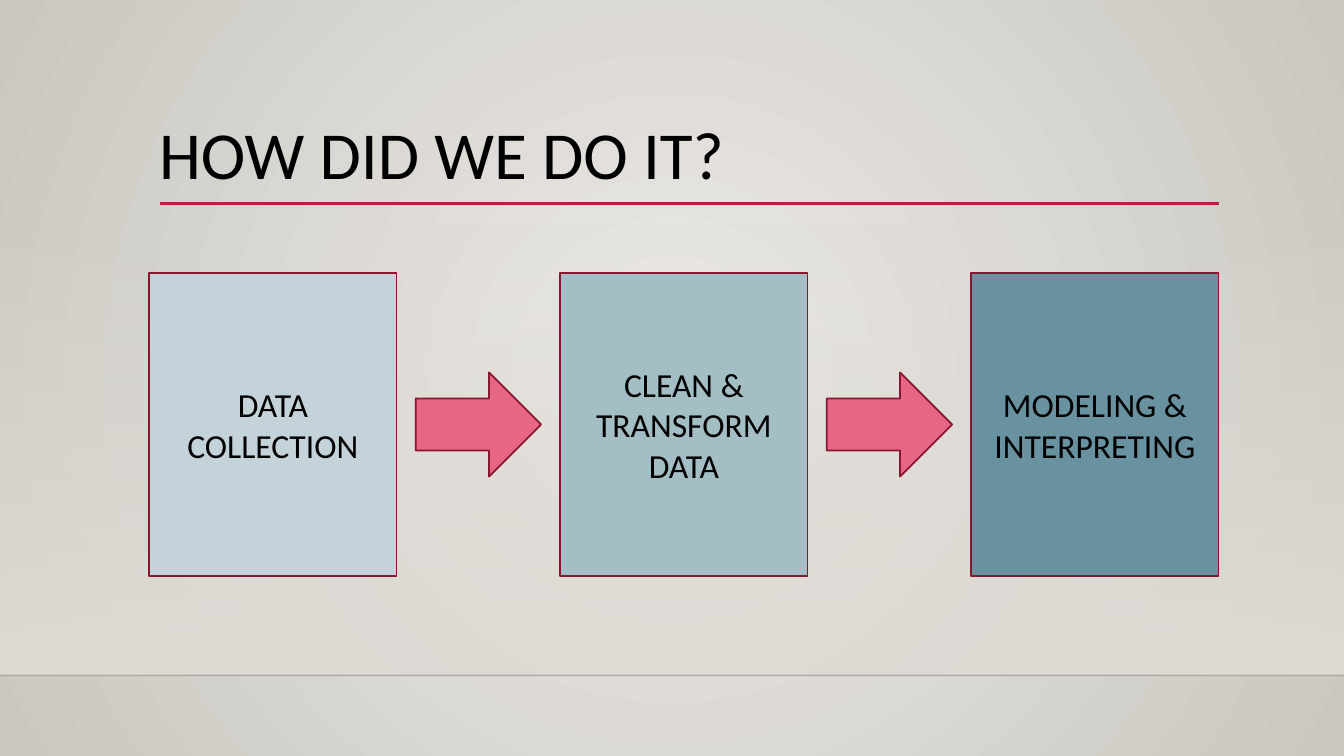
from lxml import etree
from pptx import Presentation
from pptx.dml.color import RGBColor
from pptx.enum.shapes import MSO_CONNECTOR, MSO_SHAPE
from pptx.enum.text import MSO_ANCHOR, PP_ALIGN
from pptx.oxml.ns import qn
from pptx.util import Pt

RECTANGLE, ARROW = MSO_SHAPE.RECTANGLE, MSO_SHAPE.RIGHT_ARROW
STRAIGHT = MSO_CONNECTOR.STRAIGHT
CENTER, LEFT = PP_ALIGN.CENTER, PP_ALIGN.LEFT
MIDDLE, BOTTOM = MSO_ANCHOR.MIDDLE, MSO_ANCHOR.BOTTOM

TITLE = "HOW DID WE DO IT?"
STEPS = [
    ("DATA COLLECTION", "C3D3D9"),
    ("CLEAN & TRANSFORM DATA", "A4BEC6"),
    ("MODELING & INTERPRETING", "6892A0"),
]
COLORS = {
    "center": "ECEAE7", "edge": "CAC7C1", "wall": "DFDBD5", "floor": "000001",
    "rule": "B71E42", "outline": "871631", "arrow": "E66684", "text": "000000",
}
FONT = "Calibri"

SLIDE_W, SLIDE_H = 960, 540
WALL_TOP, FLOOR_Y = 159, 482.4
RULE_LEFT, RULE_RIGHT, RULE_Y = 114.4, 871, 145.2
TITLE_BOX = (106.6, 59, 764, 82.8)
STEP_LEFT, STEP_TOP, STEP_W, STEP_H = 106.6, 195.1, 176.6, 216.2
STEP_PITCH = 293.6
ARROW_W, ARROW_H = 89.6, 74.4


def rgb(color):
    return RGBColor.from_string(color)


def set_alpha(color_element, percent):
    etree.SubElement(color_element, qn("a:alpha")).set("val", str(percent * 1000))


def set_gradient(fill, start, end):
    fill.gradient()
    for stop, color in zip(fill.gradient_stops, (start, end)):
        stop.color.rgb = rgb(color)


def make_radial(gradient):
    """Turn a linear gradient into a circle spreading from the middle."""
    gradient.remove(gradient.find(qn("a:lin")))
    circle = etree.SubElement(gradient, qn("a:path"))
    circle.set("path", "circle")
    center = etree.SubElement(circle, qn("a:fillToRect"))
    for side in "ltrb":
        center.set(side, "50000")


def add_line(slide, left, right, y, color, width):
    line = slide.shapes.add_connector(STRAIGHT, Pt(left), Pt(y), Pt(right), Pt(y))
    line.line.color.rgb = rgb(color)
    line.line.width = Pt(width)
    etree.SubElement(line.element.spPr, qn("a:effectLst"))
    return line


def add_block(slide, kind, box, color):
    block = slide.shapes.add_shape(kind, *map(Pt, box))
    block.shadow.inherit = False
    block.fill.solid()
    block.fill.fore_color.rgb = rgb(color)
    block.line.color.rgb = rgb(COLORS["outline"])
    block.line.width = Pt(1.25)
    return block


def write(shape, text, size, align, anchor):
    frame = shape.text_frame
    frame.word_wrap = True
    frame.vertical_anchor = anchor
    frame.text = text
    paragraph = frame.paragraphs[0]
    paragraph.alignment = align
    font = paragraph.runs[0].font
    font.name, font.size = FONT, Pt(size)
    font.color.rgb = rgb(COLORS["text"])
    return paragraph


def add_backdrop(slide):
    set_gradient(slide.background.fill, COLORS["center"], COLORS["edge"])
    make_radial(next(slide.element.iter(qn("a:gradFill"))))

    wall = slide.shapes.add_shape(
        RECTANGLE, 0, Pt(WALL_TOP), Pt(SLIDE_W), Pt(FLOOR_Y - WALL_TOP))
    wall.shadow.inherit = False
    wall.line.fill.background()
    set_gradient(wall.fill, COLORS["wall"], COLORS["wall"])
    wall.fill.gradient_angle = 270
    set_alpha(next(wall.element.spPr.iter(qn("a:srgbClr"))), 0)

    floor = add_line(slide, 0, SLIDE_W, FLOOR_Y, COLORS["floor"], 1)
    set_alpha(next(floor.element.spPr.iter(qn("a:srgbClr"))), 20)


def add_title(slide):
    add_line(slide, RULE_LEFT, RULE_RIGHT, RULE_Y, COLORS["rule"], 2.5)
    title = slide.shapes.add_textbox(*map(Pt, TITLE_BOX))
    write(title, TITLE, 48, LEFT, BOTTOM).line_spacing = 0.9


def add_steps(slide):
    arrow_offset = (STEP_PITCH + STEP_W - ARROW_W) / 2
    arrow_top = STEP_TOP + (STEP_H - ARROW_H) / 2
    for index, (label, color) in enumerate(STEPS):
        left = STEP_LEFT + index * STEP_PITCH
        step = add_block(slide, RECTANGLE, (left, STEP_TOP, STEP_W, STEP_H), color)
        write(step, label, 24, CENTER, MIDDLE)
        if index < len(STEPS) - 1:
            arrow_box = (left + arrow_offset, arrow_top, ARROW_W, ARROW_H)
            add_block(slide, ARROW, arrow_box, COLORS["arrow"])


def main():
    deck = Presentation()
    deck.slide_width, deck.slide_height = Pt(SLIDE_W), Pt(SLIDE_H)
    slide = deck.slides.add_slide(deck.slide_layouts[6])
    add_backdrop(slide)
    add_title(slide)
    add_steps(slide)
    deck.save("out.pptx")


if __name__ == "__main__":
    main()
